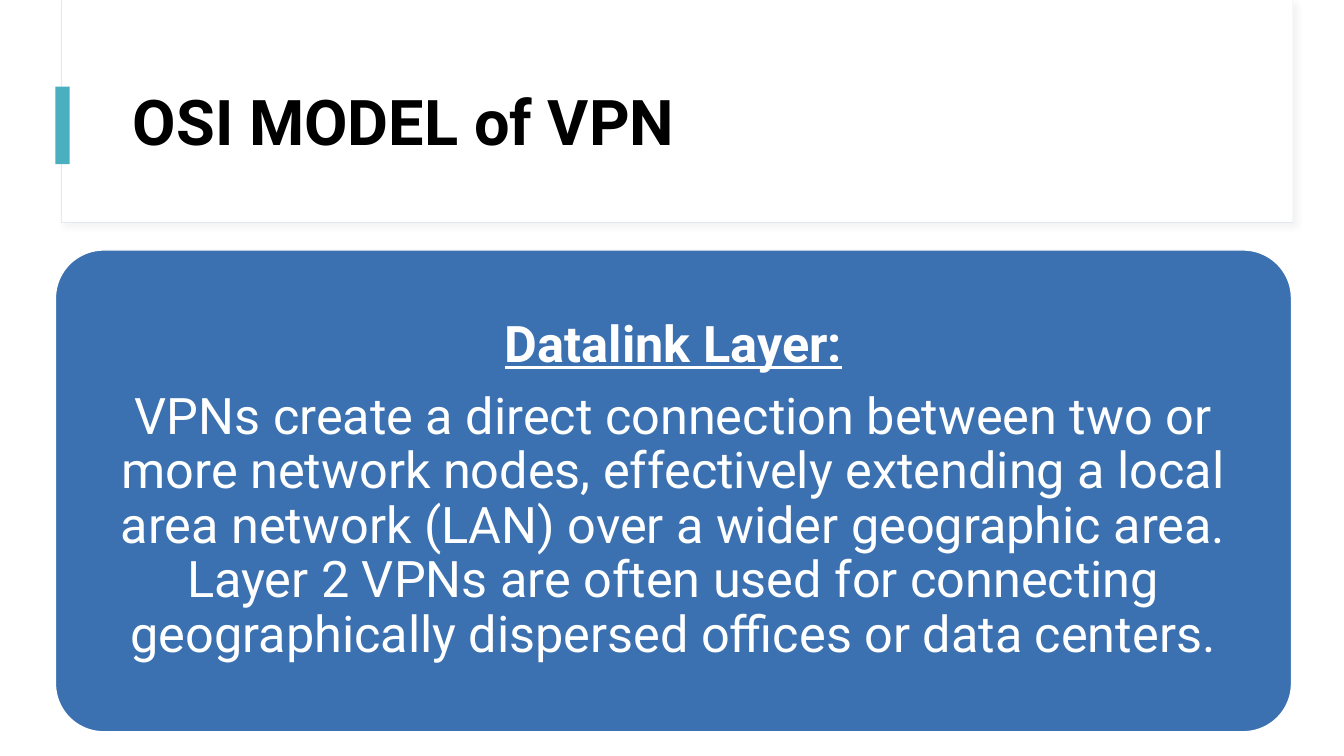
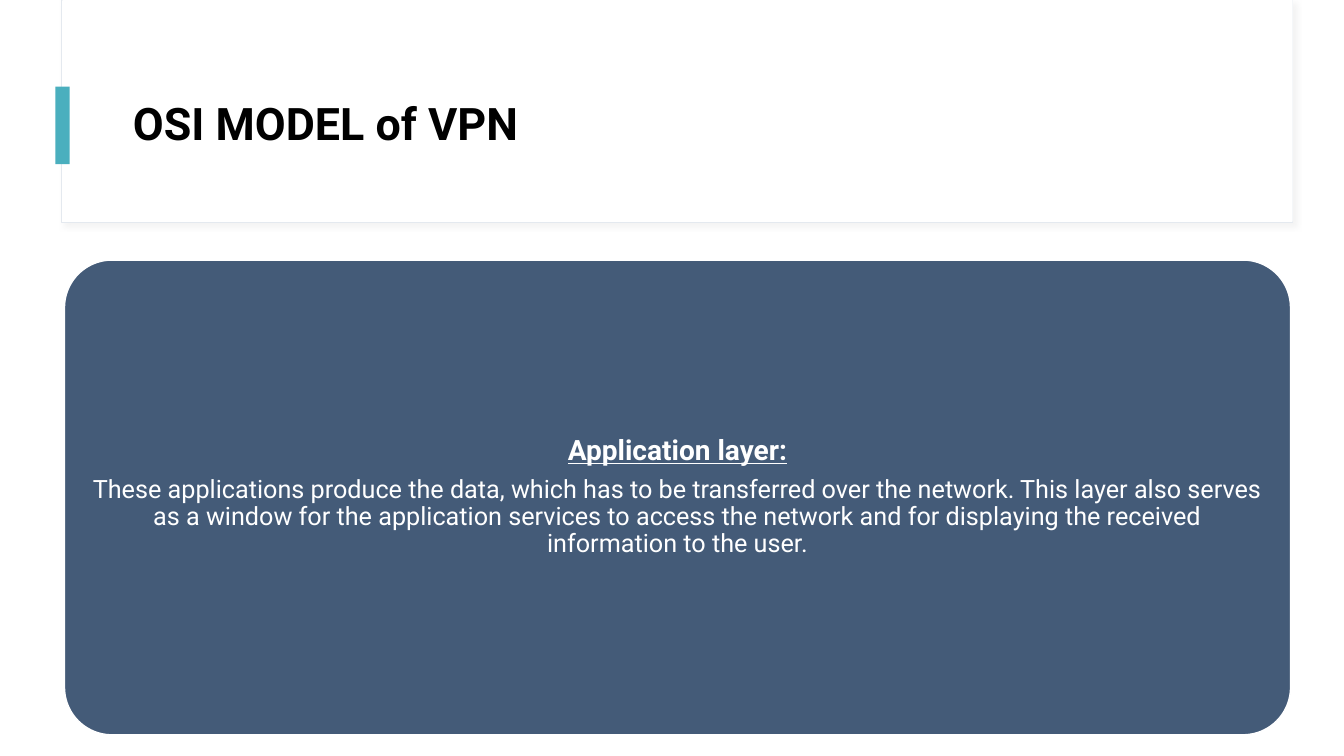
from dataclasses import dataclass

from lxml.etree import SubElement
from pptx import Presentation
from pptx.dml.color import RGBColor
from pptx.enum.shapes import MSO_SHAPE
from pptx.enum.text import MSO_ANCHOR, PP_ALIGN
from pptx.oxml.ns import qn
from pptx.shapes.autoshape import Shape
from pptx.slide import Slide
from pptx.text.text import TextFrame
from pptx.util import Inches, Pt

FONT = "Roboto"
WHITE, BLACK, TEAL = "FFFFFF", "000000", "4AAFBE"
BORDER, SHADOW = "E4E9EF", "D9D9D9"
LINE_SPACING = 0.9
SPACE_AFTER = 0.35  # share of the text size
TITLE = "OSI MODEL of VPN"

Box = tuple[float, float, float, float]


@dataclass(frozen=True)
class LayerSlide:
    title_top: float
    title_size: int
    title_anchor: MSO_ANCHOR
    panel: Box
    fill: str
    inset: float
    heading: str
    heading_size: int
    body: str
    body_size: int


SLIDES = [
    LayerSlide(
        0.34, 45, MSO_ANCHOR.BOTTOM, (0.55, 2.48, 12.26, 4.78), "3B71B1", 0.15,
        "Datalink Layer:", 36,
        "VPNs create a direct connection between two or more network nodes, "
        "effectively extending a local area network (LAN) over a wider "
        "geographic area. Layer 2 VPNs are often used for connecting "
        "geographically dispersed offices or data centers.", 36,
    ),
    LayerSlide(
        0.6, 32, MSO_ANCHOR.MIDDLE, (0.64, 2.58, 12.16, 4.71), "445B78", 0.08,
        "Application layer:", 20,
        "These applications produce the data, which has to be transferred over "
        "the network. This layer also serves as a window for the application "
        "services to access the network and for displaying the received "
        "information to the user.", 18,
    ),
]


def rgb(color: str) -> RGBColor:
    return RGBColor.from_string(color)


def add_box(s: Slide, box: Box, fill: str, line: str | None = None,
            width: float = 1, kind: MSO_SHAPE = MSO_SHAPE.RECTANGLE) -> Shape:
    sp = s.shapes.add_shape(kind, *map(Inches, box))
    sp.shadow.inherit = False
    sp.fill.solid()
    sp.fill.fore_color.rgb = rgb(fill)
    if line:
        sp.line.color.rgb = rgb(line)
        sp.line.width = Pt(width)
    else:
        sp.line.fill.background()
    return sp


def add_soft_shadow(sp: Shape) -> None:
    effects = sp.element.spPr.find(qn("a:effectLst"))
    shadow = SubElement(effects, qn("a:outerShdw"), blurRad=str(Pt(4)),
                        dist=str(Pt(3)), dir=str(45 * 60000))
    color = SubElement(shadow, qn("a:srgbClr"), val=SHADOW)
    SubElement(color, qn("a:alpha"), val="30000")


def setup_frame(tf: TextFrame, anchor: MSO_ANCHOR, inset: float | None = None) -> None:
    tf.word_wrap = True
    tf.vertical_anchor = anchor
    if inset is not None:
        for side in ("left", "top", "right", "bottom"):
            setattr(tf, f"margin_{side}", Inches(inset))


def write(tf: TextFrame, text: str, size: int, color: str, align: PP_ALIGN,
          after: float = 0, **formats: bool) -> None:
    """Fill the first paragraph if it is empty, otherwise append one."""
    p = tf.paragraphs[0] if not tf.text else tf.add_paragraph()
    p.alignment = align
    p.line_spacing = LINE_SPACING
    p.space_after = Pt(size * after)
    r = p.add_run()
    r.text = text
    r.font.color.rgb = rgb(color)
    for name, value in {"name": FONT, "size": Pt(size), **formats}.items():
        setattr(r.font, name, value)


def add_header(s: Slide, layer: LayerSlide) -> None:
    add_soft_shadow(add_box(s, (0.61, 0, 12.21, 2.21), WHITE, BORDER, 0.75))
    add_box(s, (0.62, 0, 12.2, 2.2), WHITE)
    add_box(s, (0.55, 0.86, 0.14, 0.77), TEAL)
    title_box = (1.22, layer.title_top, 11.12, 1.29)
    tf = s.shapes.add_textbox(*map(Inches, title_box)).text_frame
    setup_frame(tf, layer.title_anchor)
    write(tf, TITLE, layer.title_size, BLACK, PP_ALIGN.LEFT, bold=True)


def add_panel(s: Slide, layer: LayerSlide) -> None:
    sp = add_box(s, layer.panel, layer.fill, WHITE, kind=MSO_SHAPE.ROUNDED_RECTANGLE)
    sp.adjustments[0] = 0.1
    tf = sp.text_frame
    setup_frame(tf, MSO_ANCHOR.MIDDLE, layer.inset)
    write(tf, layer.heading, layer.heading_size, WHITE, PP_ALIGN.CENTER,
          SPACE_AFTER, bold=True, underline=True)
    write(tf, layer.body, layer.body_size, WHITE, PP_ALIGN.CENTER, SPACE_AFTER)


def main() -> None:
    prs = Presentation()
    prs.slide_width, prs.slide_height = Inches(13.33), Inches(7.5)
    for layer in SLIDES:
        s = prs.slides.add_slide(prs.slide_layouts[6])
        add_header(s, layer)
        add_panel(s, layer)
    prs.save("out.pptx")


if __name__ == "__main__":
    main()
